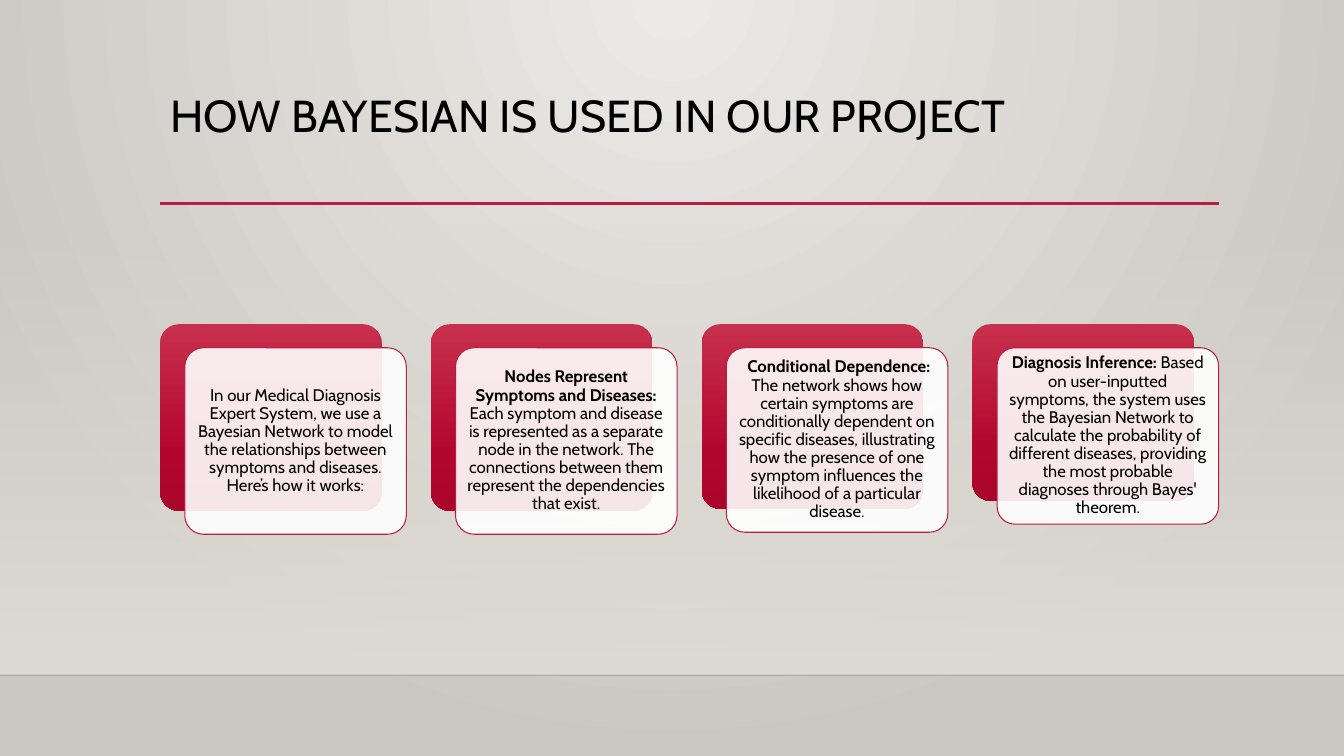
from pptx import Presentation
from pptx.dml.color import RGBColor
from pptx.enum.shapes import MSO_CONNECTOR as Connector, MSO_SHAPE as Shape
from pptx.enum.text import MSO_ANCHOR as Anchor, PP_ALIGN as Align
from pptx.oxml import parse_xml
from pptx.oxml.ns import nsdecls, qn
from pptx.util import Pt

DOWN = '<a:lin ang="5400000" scaled="0"/>'
FROM_TOP = '<a:path path="circle"><a:fillToRect l="43000" r="43000" b="100000"/></a:path>'
CRIMSON = [(0, "C7304C", 100), (69, "B3062F", 100), (100, "AA062C", 100)]
CARDS = [
    (133.2, "", "In our Medical Diagnosis Expert System, we use a Bayesian Network to model "
     "the relationships between symptoms and diseases. Here’s how it works:"),
    (133.2, "Nodes Represent Symptoms and Diseases:",
     " Each symptom and disease is represented as a separate node in the network. "
     "The connections between them represent the dependencies that exist."),
    (131.8, " Conditional Dependence:",
     " The network shows how certain symptoms are conditionally dependent on specific diseases, "
     "illustrating how the presence of one symptom influences the likelihood of a particular disease."),
    (126, "Diagnosis Inference:",
     " Based on user-inputted symptoms, the system uses the Bayesian Network to calculate the "
     "probability of different diseases, providing the most probable diagnoses through Bayes' theorem."),
]


def colour(value):
    return RGBColor.from_string(value)


class Painter:
    """Draws styled elements on the current slide."""

    font = "Cabin"
    ink = "000000"
    accent = "B71E42"

    def __init__(self, page):
        self.page = page

    def gradient(self, fill, owner, stops, direction):
        fill.gradient()
        old = owner.xpath(".//a:gradFill")[0]
        marks = "".join(
            f'<a:gs pos="{place * 1000}"><a:srgbClr val="{shade}">'
            f'<a:alpha val="{alpha * 1000}"/></a:srgbClr></a:gs>'
            for place, shade, alpha in stops)
        new = parse_xml(f'<a:gradFill {nsdecls("a")} rotWithShape="1">'
                        f'<a:gsLst>{marks}</a:gsLst>{direction}</a:gradFill>')
        old.getparent().replace(old, new)

    def opacity(self, owner, percent):
        shade = owner.xpath(".//a:solidFill/a:srgbClr")[0]
        shade.append(parse_xml(f'<a:alpha {nsdecls("a")} val="{percent * 1000}"/>'))

    def background(self, stops):
        self.gradient(self.page.background.fill, self.page._element, stops, FROM_TOP)

    def block(self, kind, left, top, width, height):
        box = self.page.shapes.add_shape(kind, Pt(left), Pt(top), Pt(width), Pt(height))
        box.shadow.inherit = False
        box.line.fill.background()
        if kind == Shape.ROUNDED_RECTANGLE:
            box.adjustments[0] = 0.1
        return box

    def shaded(self, kind, left, top, width, height, stops):
        box = self.block(kind, left, top, width, height)
        self.gradient(box.fill, box._element, stops, DOWN)

    def rule(self, left, right, top, shade, weight, percent=100):
        line = self.page.shapes.add_connector(
            Connector.STRAIGHT, Pt(left), Pt(top), Pt(right), Pt(top))
        line.line.color.rgb = colour(shade)
        line.line.width = Pt(weight)
        self.opacity(line._element, percent)
        line._element.spPr.append(line._element.makeelement(qn("a:effectLst"), {}))

    def text(self, box, anchor, align, size, spans):
        frame = box.text_frame
        frame.word_wrap = True
        frame.vertical_anchor = anchor
        para = frame.paragraphs[0]
        para.alignment = align
        para.line_spacing = 0.9
        for words, bold in spans:
            span = para.add_run()
            span.text = words
            span.font.name = self.font
            span.font.size = Pt(size)
            span.font.bold = bold
            span.font.color.rgb = colour(self.ink)

    def title(self, left, top, width, height, words):
        box = self.page.shapes.title
        box.left, box.top, box.width, box.height = Pt(left), Pt(top), Pt(width), Pt(height)
        self.text(box, Anchor.TOP, Align.LEFT, 32, [(words, False)])

    def card(self, left, top, width, height, heading, body):
        self.shaded(Shape.ROUNDED_RECTANGLE, left, top, width, height, CRIMSON)
        front = self.block(Shape.ROUNDED_RECTANGLE, left + 17.6, top + 16.8, width, height)
        front.fill.solid()
        front.fill.fore_color.rgb = colour("FFFFFF")
        self.opacity(front._element, 90)
        front.line.color.rgb = colour(self.accent)
        front.line.width = Pt(0.75)
        frame = front.text_frame
        frame.margin_left = frame.margin_right = Pt(3.6)
        frame.margin_top = frame.margin_bottom = Pt(3.6)
        spans = [(heading, True), (body, False)]
        self.text(front, Anchor.MIDDLE, Align.CENTER, 12, [span for span in spans if span[0]])


def main():
    deck = Presentation()
    deck.slide_width, deck.slide_height = Pt(960), Pt(540)
    painter = Painter(deck.slides.add_slide(deck.slide_layouts[5]))
    painter.background([(0, "ECEAE7", 100), (100, "CAC7C1", 100)])
    painter.shaded(Shape.RECTANGLE, 0, 159, 960, 323.4,
                   [(0, "DFDBD5", 0), (100, "DFDBD5", 100)])
    painter.rule(0, 960, 482.4, "000001", 1, 20)
    painter.rule(114.4, 871, 145.4, painter.accent, 2.5)
    painter.title(114.4, 63.4, 756, 82.8, "HOW BAYESIAN IS USED IN OUR PROJECT")
    for index, (height, heading, body) in enumerate(CARDS):
        painter.card(114.4 + index * 193.4, 231.6, 158.2, height, heading, body)
    deck.save("out.pptx")


if __name__ == "__main__":
    main()
